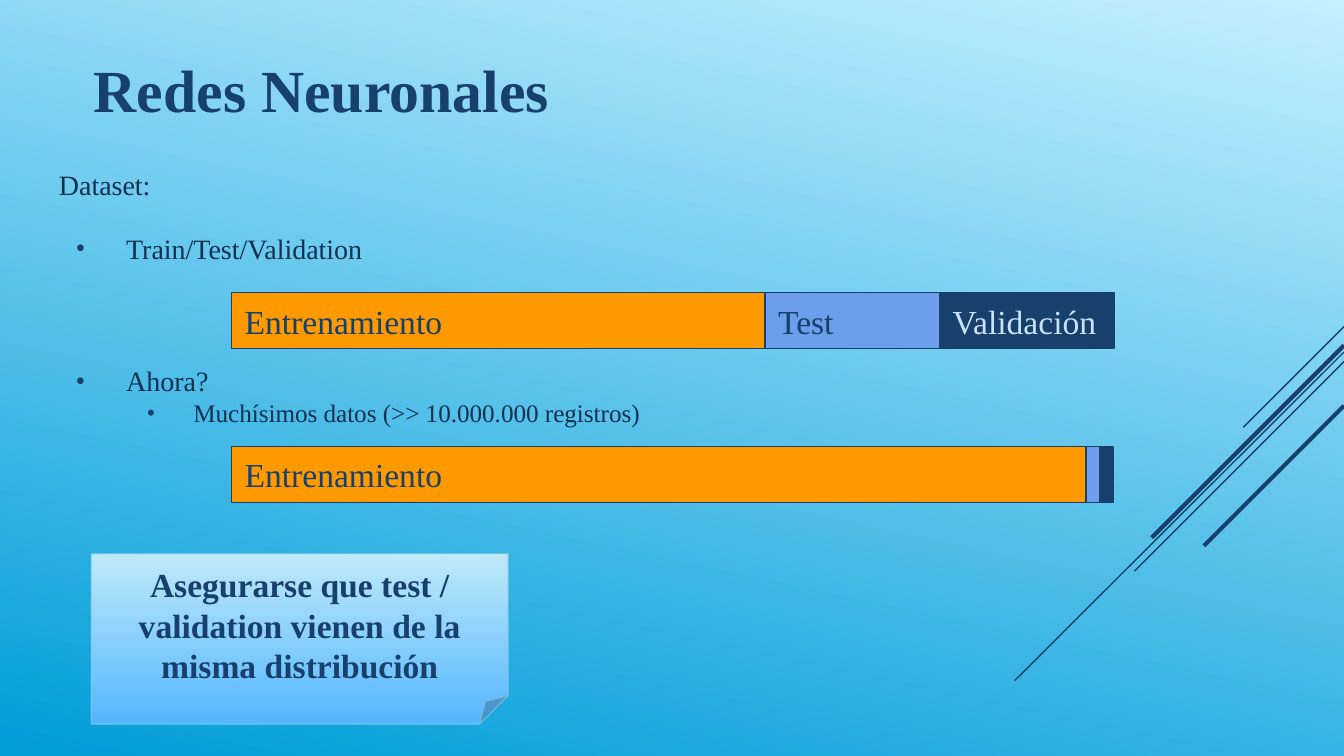
from lxml.etree import SubElement
from pptx import Presentation
from pptx.dml.color import RGBColor
from pptx.enum.shapes import MSO_CONNECTOR as Connector, MSO_SHAPE as Shape
from pptx.enum.text import MSO_ANCHOR as Anchor, PP_ALIGN as Align
from pptx.oxml.ns import qn
from pptx.util import Pt

FONT = "Times New Roman"
NAVY, INK, ORANGE, BLUE, PALE = "17406D", "113052", "FF9900", "6D9EEB", "C8E3FB"
BAR_LEFT, BAR_HEIGHT = 124, 29.9


def color(value):
    """Turn a hex string into a colour."""
    return RGBColor.from_string(value)


def apply(target, values):
    """Set each attribute named in a dict."""
    for name, value in values.items():
        setattr(target, name, value)


def fill_gradient(fill, first, last, angle):
    """Fill with two colours along a clockwise angle."""
    fill.gradient()
    fill.gradient_angle = 360 - angle
    for stop, value, position in zip(fill.gradient_stops, (first, last), (0, 1)):
        stop.color.rgb = color(value)
        stop.position = position


def write(para, text, size, value, bold=False):
    """Add one formatted run to a paragraph."""
    span = para.add_run()
    span.text = text
    apply(span.font, {"name": FONT, "size": Pt(size), "bold": bold})
    span.font.color.rgb = color(value)


def set_frame(frame, anchor):
    """Give a text frame its wrapping, anchor and margins."""
    sides = ("left", "top", "right", "bottom")
    margins = {f"margin_{side}": Pt(7.2) for side in sides}
    apply(frame, {"word_wrap": True, "vertical_anchor": anchor, **margins})


def add_text_box(page, left, top, width, height):
    """Add an empty text box and return its frame."""
    box = page.shapes.add_textbox(Pt(left), Pt(top), Pt(width), Pt(height))
    set_frame(box.text_frame, Anchor.TOP)
    return box.text_frame


def add_bullet(frame, text, size, before, margin, hanging, level=0):
    """Add a bulleted paragraph with a hanging indent."""
    para = frame.add_paragraph()
    apply(para, {"level": level, "space_before": Pt(before)})
    write(para, text, size, INK)
    props = para._p.get_or_add_pPr()
    props.set("marL", str(Pt(margin)))
    props.set("indent", str(-Pt(hanging)))
    SubElement(SubElement(props, qn("a:buClr")), qn("a:srgbClr"), val=NAVY)
    SubElement(props, qn("a:buFont"), typeface=FONT)
    SubElement(props, qn("a:buChar"), char="•")


def add_panel(page, kind, left, top, width, height, line):
    """Add a shape without shadow and with a thin outline."""
    panel = page.shapes.add_shape(kind, Pt(left), Pt(top), Pt(width), Pt(height))
    panel.shadow.inherit = False
    panel.line.width = Pt(0.75)
    panel.line.color.rgb = color(line)
    set_frame(panel.text_frame, Anchor.MIDDLE)
    return panel


def add_split_bar(page, top, parts):
    """Lay the parts of a dataset side by side."""
    left = BAR_LEFT
    for text, width, fill, text_color in parts:
        part = add_panel(page, Shape.RECTANGLE, left, top, width, BAR_HEIGHT, NAVY)
        part.fill.solid()
        part.fill.fore_color.rgb = color(fill)
        if text:
            para = part.text_frame.paragraphs[0]
            para.alignment = Align.LEFT
            write(para, text, 18, text_color)
        left += width


def add_note(page, text):
    """Add the folded note with its centred message."""
    note = add_panel(page, Shape.FOLDED_CORNER, 49, 296.6, 223.2, 91.4, "89CDE3")
    guides = note._element.spPr.find(".//" + qn("a:avLst"))
    SubElement(guides, qn("a:gd"), name="adj", fmla="val 16667")
    fill_gradient(note.fill, "BFEAF9", "54B6FF", 90)
    line_color = note._element.spPr.find(qn("a:ln")).find(".//" + qn("a:srgbClr"))
    SubElement(line_color, qn("a:alpha"), val="60000")
    para = note.text_frame.paragraphs[0]
    para.alignment = Align.CENTER
    write(para, text, 18, NAVY, True)


def add_stripe(page, start_y, end_x, end_y, width):
    """Draw a diagonal line from the right edge."""
    stripe = page.shapes.add_connector(
        Connector.STRAIGHT, Pt(720), Pt(start_y), Pt(end_x), Pt(end_y))
    stripe.line.width = Pt(width)
    stripe.line.color.rgb = color(NAVY)
    SubElement(stripe._element.spPr, qn("a:effectLst"))


def main():
    """Build the slide and save it."""
    deck = Presentation()
    apply(deck, {"slide_width": Pt(720), "slide_height": Pt(405)})
    page = deck.slides.add_slide(deck.slide_layouts[6])
    fill_gradient(page.background.fill, "C4EFFF", "009DD9", 102)

    for stripe in (
        (175, 666, 229, 0.75),
        (188.6, 543.6, 364.6, 0.75),
        (193.7, 607.7, 306, 0.75),
        (185, 617, 288, 2.25),
        (217.4, 645, 292.4, 2.25),
    ):
        add_stripe(page, *stripe)

    body = add_text_box(page, 24.5, 82.8, 671, 278)
    write(body.paragraphs[0], "Dataset:", 15, INK)
    add_bullet(body, "Train/Test/Validation", 15, 16, 36, 27)
    add_bullet(body, "Ahora?", 15, 53, 36, 27)
    add_bullet(body, "Muchísimos datos (>> 10.000.000 registros)", 13.5, 0, 72, 25, 1)

    title = add_text_box(page, 43.2, 20.9, 579, 75.6)
    write(title.paragraphs[0], "Redes Neuronales", 32, NAVY, True)

    add_split_bar(page, 156.8, (
        ("Entrenamiento", 285.8, ORANGE, NAVY),
        ("Test", 93.5, BLUE, NAVY),
        ("Validación", 93.5, NAVY, PALE),
    ))
    add_split_bar(page, 239.2, (
        ("Entrenamiento", 457.8, ORANGE, NAVY),
        ("", 7.2, BLUE, NAVY),
        ("", 7.2, NAVY, PALE),
    ))
    add_note(page, "Asegurarse que test / validation vienen de la misma distribución")
    deck.save("out.pptx")


if __name__ == "__main__":
    main()
